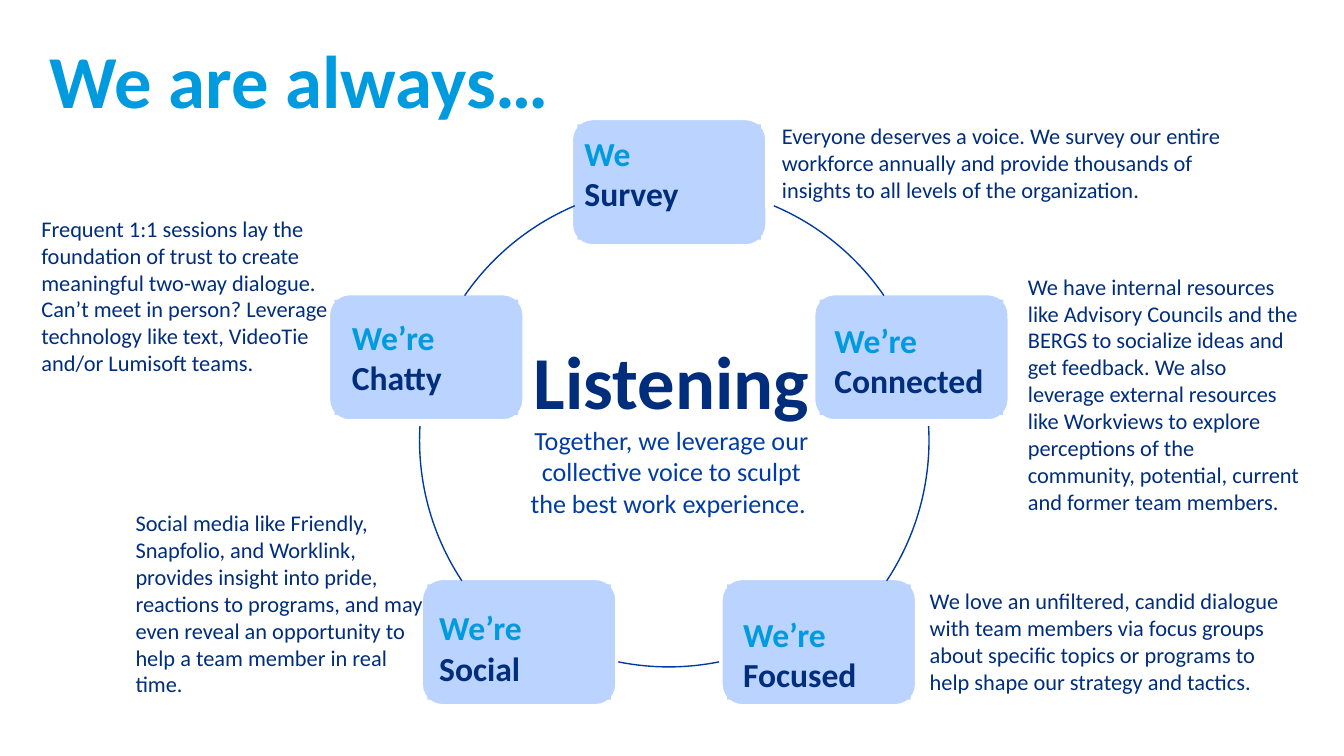
"""Build the "We are always…" listening cycle slide."""
import pptx
import pptx.dml.color
import pptx.enum.shapes
import pptx.enum.text
import pptx.util

Pt = pptx.util.Pt
SHAPE = pptx.enum.shapes.MSO_SHAPE
SKY, NAVY, ROYAL, PALE, WHITE = "009ADF", "002D7C", "003CA5", "BAD3FF", "FFFFFF"


def color(value):
    """Turn a hex string into a colour."""
    return pptx.dml.color.RGBColor.from_string(value)


def add_span(para, text, size, value, bold=False):
    """Append a formatted run to a paragraph."""
    span = para.add_run()
    span.text = text
    span.font.name = "Calibri"
    span.font.size = Pt(size)
    span.font.bold = bold
    span.font.color.rgb = color(value)


deck = pptx.Presentation()
deck.slide_width, deck.slide_height = Pt(720), Pt(405)
page = deck.slides.add_slide(deck.slide_layouts[5])

card_places = [(306, 63.4), (435.8, 157.2), (386.2, 309.8), (225.6, 309.8), (175.9, 157.2)]
for left, top in card_places:
    card = page.shapes.add_shape(SHAPE.ROUNDED_RECTANGLE, Pt(left), Pt(top), Pt(105), Pt(68.4))
    card.line.color.rgb = color(WHITE)
    card.line.width = Pt(2)
    panel = page.shapes.add_shape(SHAPE.RECTANGLE, Pt(left + 3.3), Pt(top + 3.3), Pt(98.4), Pt(61.8))
    panel.line.fill.background()
    for shape in (card, panel):
        shape.shadow.inherit = False
        shape.fill.solid()
        shape.fill.fore_color.rgb = color(PALE)

arcs = [
    (224.8, 99.4, 293, 325.4),
    (224.8, 99.4, 356.8, 33.5),
    (224.8, 99.4, 146.5, 183.2),
    (224.8, 99.4, 214.6, 247),
    (221.8, 84.4, 78.6, 101.4),
]
for left, top, start, end in arcs:
    arc = page.shapes.add_shape(SHAPE.ARC, Pt(left), Pt(top), Pt(272.9), Pt(272.9))
    arc.adjustments[0] = start * 0.6
    arc.adjustments[1] = end * 0.6
    arc.shadow.inherit = False
    arc.fill.background()
    arc.line.color.rgb = color("003BA1")
    arc.line.width = Pt(0.75)

title = page.shapes.title
title.left, title.top, title.width, title.height = Pt(19.4), Pt(14.4), Pt(566.6), Pt(55.4)
title.text_frame.vertical_anchor = pptx.enum.text.MSO_ANCHOR.TOP
title.text_frame.auto_size = pptx.enum.text.MSO_AUTO_SIZE.NONE
title.text_frame.paragraphs[0].alignment = pptx.enum.text.PP_ALIGN.LEFT
add_span(title.text_frame.paragraphs[0], "We are always…", 40, SKY, True)

labels = [
    (306, 67.7, 92.9, "We ", "Survey"),
    (439.9, 167.8, 99.4, "We’re ", "Connected"),
    (391, 325.4, 85, "We’re ", "Focused"),
    (228.2, 321.8, 85, "We’re ", "Social"),
    (181.4, 166.3, 85, "We’re ", "Chatty"),
]
for left, top, width, opening, word in labels:
    box = page.shapes.add_textbox(Pt(left), Pt(top), Pt(width), Pt(51))
    box.text_frame.word_wrap = True
    para = box.text_frame.paragraphs[0]
    add_span(para, opening, 18, SKY, True)
    add_span(para, word, 18, NAVY, True)

notes = [
    (411.8, 61.9, 250.6, 51,
     "Everyone deserves a voice. We survey our entire workforce annually and provide "
     "thousands of insights to all levels of the organization."),
    (543.6, 142.6, 161.3, 138.2,
     "We have internal resources like Advisory Councils and the BERGS to socialize ideas "
     "and get feedback. We also leverage external resources like Workviews to explore "
     "perceptions of the community, potential, current and former team members."),
    (491, 311, 208, 65.5,
     "We love an unfiltered, candid dialogue with team members via focus groups about "
     "specific topics or programs to help shape our strategy and tactics."),
    (65.5, 269.3, 174.2, 108.7,
     "Social media like Friendly, Snapfolio, and Worklink, provides insight into pride, "
     "reactions to programs, and may even reveal an opportunity to help a team member in "
     "real time."),
    (15.1, 111.6, 167.8, 108.7,
     "Frequent 1:1 sessions lay the foundation of trust to create meaningful two-way "
     "dialogue. Can’t meet in person? Leverage technology like text, VideoTie and/or "
     "Lumisoft teams."),
]
for left, top, width, height, text in notes:
    box = page.shapes.add_textbox(Pt(left), Pt(top), Pt(width), Pt(height))
    box.text_frame.word_wrap = True
    add_span(box.text_frame.paragraphs[0], text, 12, NAVY)

center = page.shapes.add_textbox(Pt(272.2), Pt(175.7), Pt(175), Pt(154.8))
center.text_frame.word_wrap = True
heading = center.text_frame.paragraphs[0]
add_span(heading, "Listening", 40, NAVY, True)
summary = center.text_frame.add_paragraph()
add_span(summary, "Together, we leverage our collective voice to sculpt the best work experience. ", 14, ROYAL)
for para in (heading, summary):
    para.alignment = pptx.enum.text.PP_ALIGN.CENTER

deck.save("out.pptx")
